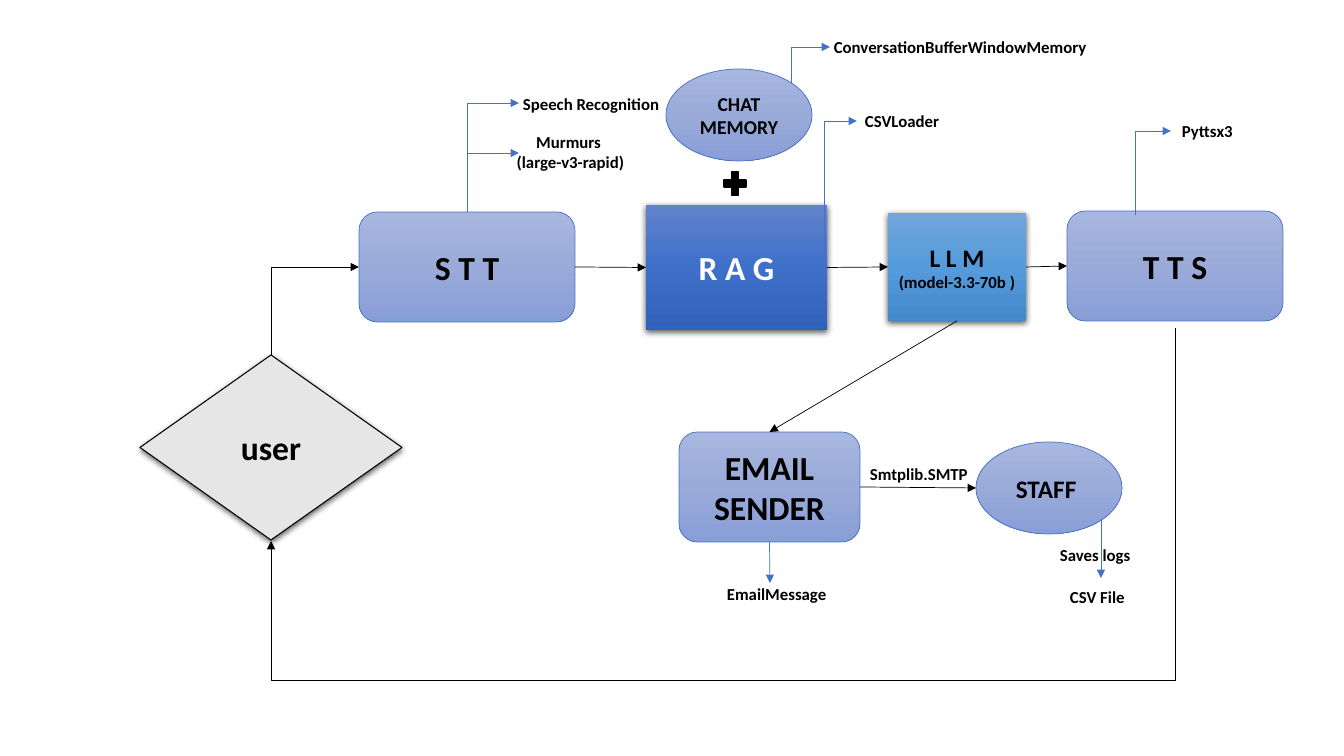
from copy import deepcopy

from lxml.etree import SubElement
from pptx import Presentation
from pptx.dml.color import RGBColor
from pptx.enum.shapes import MSO_CONNECTOR, MSO_SHAPE
from pptx.enum.text import MSO_ANCHOR, PP_ALIGN
from pptx.oxml.ns import qn
from pptx.util import Emu, Pt

PX_PER_INCH = 100.8
FONT = "Calibri"
BLACK, WHITE, GRAY, BLUE = "000000", "FFFFFF", "E7E6E6", "4472C4"
PALE = ("A8B7DF", "9AABD9", "889ED7")
DEEP = ("6183CB", "3E70CA", "3062BB")
SKY = ("71A6DB", "559BDB", "448ACA")
TOP, LEFT, BOTTOM, RIGHT = range(4)

DIAMOND, RECT = MSO_SHAPE.DIAMOND, MSO_SHAPE.RECTANGLE
ROUND, OVAL = MSO_SHAPE.ROUNDED_RECTANGLE, MSO_SHAPE.OVAL

# name: shape, (left, top, width, height), fill, (line colour, points), shadow, text colour, [(text, size)]
NODES = {
    "user": (DIAMOND, (140, 355, 262, 185), GRAY, (BLACK, 0.75), True, BLACK, [("user", 24)]),
    "stt": (ROUND, (359, 212, 216, 110), PALE, (BLUE, 0.5), False, BLACK, [("S T T", 24)]),
    "rag": (RECT, (646, 205, 181, 125), DEEP, None, True, WHITE, [("R A G", 24)]),
    "tts": (ROUND, (1067, 211, 216, 110), PALE, (BLUE, 0.5), False, BLACK, [("T T S", 24)]),
    "memory": (OVAL, (666, 69, 146, 92), PALE, (BLUE, 0.5), False, BLACK, [("CHAT MEMORY", 14)]),
    "email": (ROUND, (679, 432, 181, 110), PALE, (BLUE, 0.5), False, BLACK, [("EMAIL SENDER", 24)]),
    "staff": (OVAL, (976, 442, 146, 92), PALE, (BLUE, 0.5), False, BLACK, [("STAFF ", 18)]),
    "llm": (RECT, (888, 213, 138, 108), SKY, None, True, BLACK,
            [("L L M", 18), ("(model-3.3-70b )", 12)]),
    "plus": (MSO_SHAPE.MATH_PLUS, (720, 168, 30, 31), BLACK, (BLACK, 1), False, BLACK, []),
}

# Each end is a (node, side) pair or a point
STRAIGHT_ARROWS = [
    (("stt", RIGHT), ("rag", LEFT), BLACK),
    (("rag", RIGHT), ("llm", LEFT), BLACK),
    (("llm", RIGHT), ("tts", LEFT), BLACK),
    (("llm", BOTTOM), ("email", TOP), BLACK),
    (("email", RIGHT), (976, 488), BLACK),
    (("email", BOTTOM), (770, 583), BLUE),
    ((467, 153), (519, 153), BLUE),
    ((1101, 520), (1101, 578), BLUE),
]
UP_THEN_RIGHT_ARROWS = [
    ((271, 355), (359, 267), BLACK),
    ((467, 212), (519, 103), BLUE),
    ((1135, 215), (1171, 131), BLUE),
    ((791, 83), (830, 47), BLUE),
    ((824, 272), (857, 121), BLUE),
]
RETURN_START, RETURN_END, RETURN_DEPTH = (1175, 328), (271, 541), 352

LABELS = [
    (513, 89, 216, ["Speech Recognition"], PP_ALIGN.LEFT),
    (472, 127, 197, ["Murmurs ", "(large-v3-rapid)"], PP_ALIGN.CENTER),
    (855, 106, 101, ["CSVLoader"], PP_ALIGN.LEFT),
    (824, 32, 284, ["ConversationBufferWindowMemory"], PP_ALIGN.LEFT),
    (1172, 116, 101, ["Pyttsx3"], PP_ALIGN.LEFT),
    (717, 579, 124, ["EmailMessage"], PP_ALIGN.LEFT),
    (860, 459, 124, ["Smtplib.SMTP"], PP_ALIGN.LEFT),
    (1060, 582, 101, ["CSV File"], PP_ALIGN.LEFT),
    (1050, 540, 101, ["Saves logs"], PP_ALIGN.LEFT),
]


def px(length):
    return Emu(round(length * 914400 / PX_PER_INCH))


def rgb(value):
    return RGBColor.from_string(value)


def write(frame, lines, color, align):
    frame.word_wrap = True
    for index, (text, size) in enumerate(lines):
        para = frame.paragraphs[0] if index == 0 else frame.add_paragraph()
        para.text = text
        para.alignment = align
        para.font.name = FONT
        para.font.size = Pt(size)
        para.font.bold = True
        para.font.color.rgb = rgb(color)


def paint(shape, fill):
    """Fill with one colour, or with a top-to-bottom gradient of three."""
    if isinstance(fill, str):
        shape.fill.solid()
        shape.fill.fore_color.rgb = rgb(fill)
        return
    shape.fill.gradient()
    shape.fill.gradient_angle = 270
    stop_list = shape._element.spPr.find(qn("a:gradFill")).find(qn("a:gsLst"))
    stop_list.insert(1, deepcopy(stop_list[0]))
    for index, (stop, color) in enumerate(zip(shape.fill.gradient_stops, fill)):
        stop.position = index / 2
        stop.color.rgb = rgb(color)


def drop_shadow(shape):
    effects = shape._element.spPr.find(qn("a:effectLst"))
    shadow = SubElement(effects, qn("a:outerShdw"), blurRad="57150", dist="19050",
                        dir="5400000", algn="ctr", rotWithShape="0")
    color = SubElement(shadow, qn("a:srgbClr"), val=BLACK)
    SubElement(color, qn("a:alpha"), val="63000")


def add_node(page, kind, area, fill, outline, shadowed, text_color, lines):
    shape = page.shapes.add_shape(kind, *map(px, area))
    shape.shadow.inherit = False
    if shadowed:
        drop_shadow(shape)
    paint(shape, fill)
    if outline:
        shape.line.color.rgb = rgb(outline[0])
        shape.line.width = Pt(outline[1])
    else:
        shape.line.fill.background()
    shape.text_frame.vertical_anchor = MSO_ANCHOR.MIDDLE
    write(shape.text_frame, lines, text_color, PP_ALIGN.CENTER)
    return shape


def add_arrow(page, start, end, color, kind=MSO_CONNECTOR.STRAIGHT):
    arrow = page.shapes.add_connector(kind, *map(px, (*start, *end)))
    arrow.line.color.rgb = rgb(color)
    arrow.line.width = Pt(0.5)
    properties = arrow._element.spPr
    SubElement(properties.find(qn("a:ln")), qn("a:tailEnd"), type="triangle")
    SubElement(properties, qn("a:effectLst"))
    return arrow


def add_straight(page, nodes, start, end, color):
    """Glue each end that names a node to the given side of it."""
    points = [(0, 0) if isinstance(stop[0], str) else stop for stop in (start, end)]
    arrow = add_arrow(page, *points, color)
    for stop, connect in ((start, arrow.begin_connect), (end, arrow.end_connect)):
        if isinstance(stop[0], str):
            connect(nodes[stop[0]], stop[1])


def add_elbow(page, start, end, color, preset, degrees, depth=None):
    """Draw a bent arrow that leaves vertically, as a preset turned about its centre."""
    run, rise = abs(end[0] - start[0]), abs(end[1] - start[1])
    left = (start[0] + end[0] - rise) / 2
    top = (start[1] + end[1] - run) / 2
    arrow = add_arrow(page, (left, top), (left + rise, top + run), color, MSO_CONNECTOR.ELBOW)
    properties = arrow._element.spPr
    properties.find(qn("a:xfrm")).set("rot", str(degrees * 60000))
    geometry = properties.find(qn("a:prstGeom"))
    geometry.set("prst", preset)
    if depth:
        SubElement(geometry.find(qn("a:avLst")), qn("a:gd"), name="adj1",
                   fmla=f"val {round(depth / rise * 100000)}")


def main():
    deck = Presentation()
    deck.slide_width, deck.slide_height = px(1344), px(756)
    page = deck.slides.add_slide(deck.slide_layouts[6])

    nodes = {name: add_node(page, *node) for name, node in NODES.items()}
    for start, end, color in STRAIGHT_ARROWS:
        add_straight(page, nodes, start, end, color)
    for start, end, color in UP_THEN_RIGHT_ARROWS:
        add_elbow(page, start, end, color, "bentConnector2", 270)
    add_elbow(page, RETURN_START, RETURN_END, BLACK, "bentConnector3", 90, RETURN_DEPTH)

    for left, top, width, lines, align in LABELS:
        box = page.shapes.add_textbox(px(left), px(top), px(width), px(10 + 20 * len(lines)))
        write(box.text_frame, [(line, 12) for line in lines], BLACK, align)

    deck.save("out.pptx")


if __name__ == "__main__":
    main()
